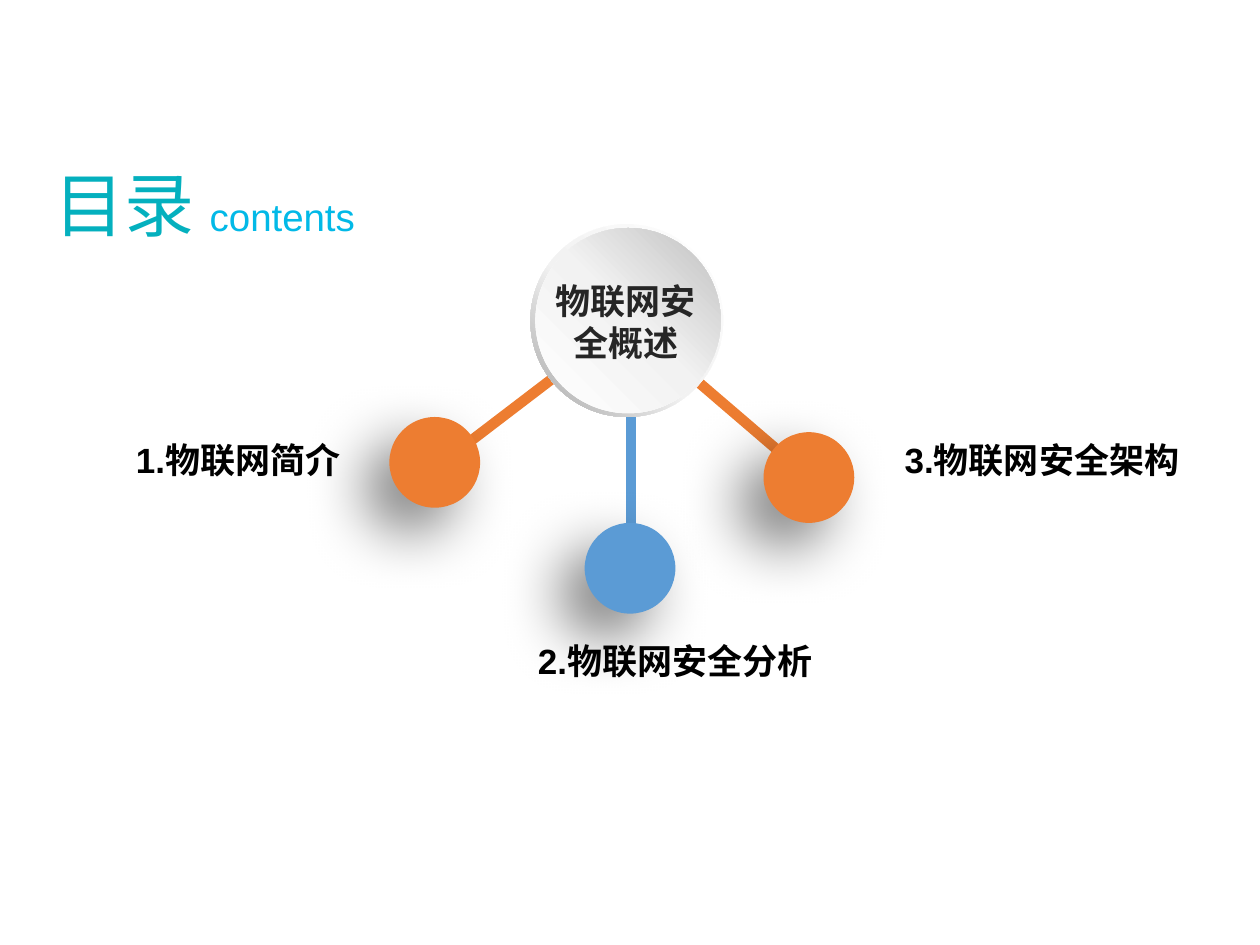
from dataclasses import dataclass

import lxml.etree
import pptx
import pptx.dml.color
import pptx.enum.shapes
import pptx.enum.text
import pptx.oxml.ns
import pptx.util

Inches = pptx.util.Inches
Pt = pptx.util.Pt
qn = pptx.oxml.ns.qn
MSO_SHAPE = pptx.enum.shapes.MSO_SHAPE
PP_ALIGN = pptx.enum.text.PP_ALIGN
MSO_ANCHOR = pptx.enum.text.MSO_ANCHOR
MSO_AUTO_SIZE = pptx.enum.text.MSO_AUTO_SIZE


@dataclass(frozen=True)
class Theme:
    font: str = "Arial"
    title_color: str = "04B0BE"
    subtitle_color: str = "02B9E7"
    orange: str = "ED7D31"
    blue: str = "5B9BD5"
    label_color: str = "000000"
    hub_text_color: str = "262626"
    title_size: int = 40
    subtitle_size: int = 22
    label_size: int = 20
    spoke_width: int = 6


THEME = Theme()
NODE_SIZE = 0.72
LABEL_HEIGHT = 0.44


@dataclass(frozen=True)
class Topic:
    """A spoke from the hub, its node (left, top) and its label box."""
    text: str
    color: str
    spoke: tuple[float, float, float, float]
    node: tuple[float, float]
    label: tuple[float, float, float]
    wrap: bool = True


@dataclass(frozen=True)
class Disc:
    """A gradient-filled part of the hub."""
    preset: MSO_SHAPE
    left: float
    top: float
    size: float
    stops: tuple[tuple[int, str], ...]
    angle: int


TOPICS = [
    Topic("1.物联网简介", THEME.orange, (3.5, 3.68, 4.98, 2.55),
          (3.09, 3.31), (0.94, 3.43, 1.9), wrap=False),
    Topic("2.物联网安全分析", THEME.blue, (5.01, 4.32, 5.01, 2.65),
          (4.64, 4.15), (4, 5.03, 2.72)),
    Topic("3.物联网安全架构", THEME.orange, (4.98, 2.55, 6.46, 3.82),
          (6.06, 3.43), (6.71, 3.43, 3.12)),
]

# Angles run counter-clockwise
HUB_DISCS = [
    Disc(MSO_SHAPE.DONUT, 4.21, 1.78, 1.53,
         ((0, "FFFFFF"), (55, "F2F2F2"), (100, "A6A6A6")), 225),
    Disc(MSO_SHAPE.OVAL, 4.25, 1.81, 1.47,
         ((0, "FFFFFF"), (51, "F2F2F2"), (100, "BFBFBF")), 45),
]


def rgb(color: str) -> pptx.dml.color.RGBColor:
    return pptx.dml.color.RGBColor.from_string(color)


def add_effects(shape) -> lxml.etree._Element:
    return lxml.etree.SubElement(shape._element.spPr, qn("a:effectLst"))


def add_title(slide) -> None:
    title = slide.shapes.title
    title.left, title.top = Inches(0.33), Inches(1.11)
    title.width, title.height = Inches(8.62), Inches(1.09)
    frame = title.text_frame
    frame.auto_size = MSO_AUTO_SIZE.NONE
    frame.vertical_anchor = MSO_ANCHOR.MIDDLE
    paragraph = frame.paragraphs[0]
    paragraph.alignment = PP_ALIGN.LEFT
    paragraph.line_spacing = 0.9
    for text, size, color in (
        ("目录 ", THEME.title_size, THEME.title_color),
        ("contents", THEME.subtitle_size, THEME.subtitle_color),
    ):
        run = paragraph.add_run()
        run.text = text
        run.font.name = THEME.font
        run.font.size = Pt(size)
        run.font.color.rgb = rgb(color)


def add_label(slide, text: str, left: float, top: float, width: float,
              height: float, color: str, wrap: bool = True) -> None:
    box = slide.shapes.add_textbox(
        Inches(left), Inches(top), Inches(width), Inches(height))
    frame = box.text_frame
    frame.word_wrap = wrap
    frame.auto_size = MSO_AUTO_SIZE.SHAPE_TO_FIT_TEXT
    paragraph = frame.paragraphs[0]
    paragraph.text = text
    paragraph.alignment = PP_ALIGN.CENTER
    paragraph.font.name = THEME.font
    paragraph.font.size = Pt(THEME.label_size)
    paragraph.font.bold = True
    paragraph.font.color.rgb = rgb(color)


def add_spoke(slide, topic: Topic) -> None:
    spoke = slide.shapes.add_connector(
        pptx.enum.shapes.MSO_CONNECTOR.STRAIGHT,
        *(Inches(value) for value in topic.spoke))
    spoke.line.color.rgb = rgb(topic.color)
    spoke.line.width = Pt(THEME.spoke_width)
    add_effects(spoke)


def add_node(slide, topic: Topic) -> None:
    left, top = topic.node
    node = slide.shapes.add_shape(
        MSO_SHAPE.OVAL, Inches(left), Inches(top),
        Inches(NODE_SIZE), Inches(NODE_SIZE))
    node.fill.solid()
    node.fill.fore_color.rgb = rgb(topic.color)
    node.line.fill.background()
    # Soft shadow falling to the lower left
    shadow = lxml.etree.SubElement(
        add_effects(node), qn("a:outerShdw"), blurRad=str(Pt(35)),
        dist=str(Pt(20)), dir=str(135 * 60000), algn="tr", rotWithShape="0")
    color = lxml.etree.SubElement(shadow, qn("a:srgbClr"), val="000000")
    lxml.etree.SubElement(color, qn("a:alpha"), val="50000")


def add_disc(slide, disc: Disc) -> None:
    shape = slide.shapes.add_shape(
        disc.preset, Inches(disc.left), Inches(disc.top),
        Inches(disc.size), Inches(disc.size))
    if disc.preset == MSO_SHAPE.DONUT:
        shape.adjustments[0] = 0.05
    shape.shadow.inherit = False
    shape.line.fill.background()
    shape.fill.gradient()
    shape.fill.gradient_angle = disc.angle
    stop_list = shape._element.spPr.find(".//" + qn("a:gsLst"))
    for stop in list(stop_list):
        stop_list.remove(stop)
    for position, color in disc.stops:
        stop = lxml.etree.SubElement(
            stop_list, qn("a:gs"), pos=str(position * 1000))
        lxml.etree.SubElement(stop, qn("a:srgbClr"), val=color)


def main() -> None:
    presentation = pptx.Presentation()
    presentation.slide_width = Inches(10)
    presentation.slide_height = Inches(7.5)
    slide = presentation.slides.add_slide(presentation.slide_layouts[5])
    add_title(slide)

    # Spokes lie under the nodes, labels above their shadows
    for topic in TOPICS:
        add_spoke(slide, topic)
    for topic in TOPICS:
        add_node(slide, topic)
    for topic in TOPICS:
        add_label(slide, topic.text, *topic.label, LABEL_HEIGHT,
                  THEME.label_color, topic.wrap)

    # Hub covers the inner ends of the spokes
    for disc in HUB_DISCS:
        add_disc(slide, disc)
    add_label(slide, "物联网安全概述", 4.19, 2.17, 1.55, 0.77,
              THEME.hub_text_color)
    presentation.save("out.pptx")


if __name__ == "__main__":
    main()
